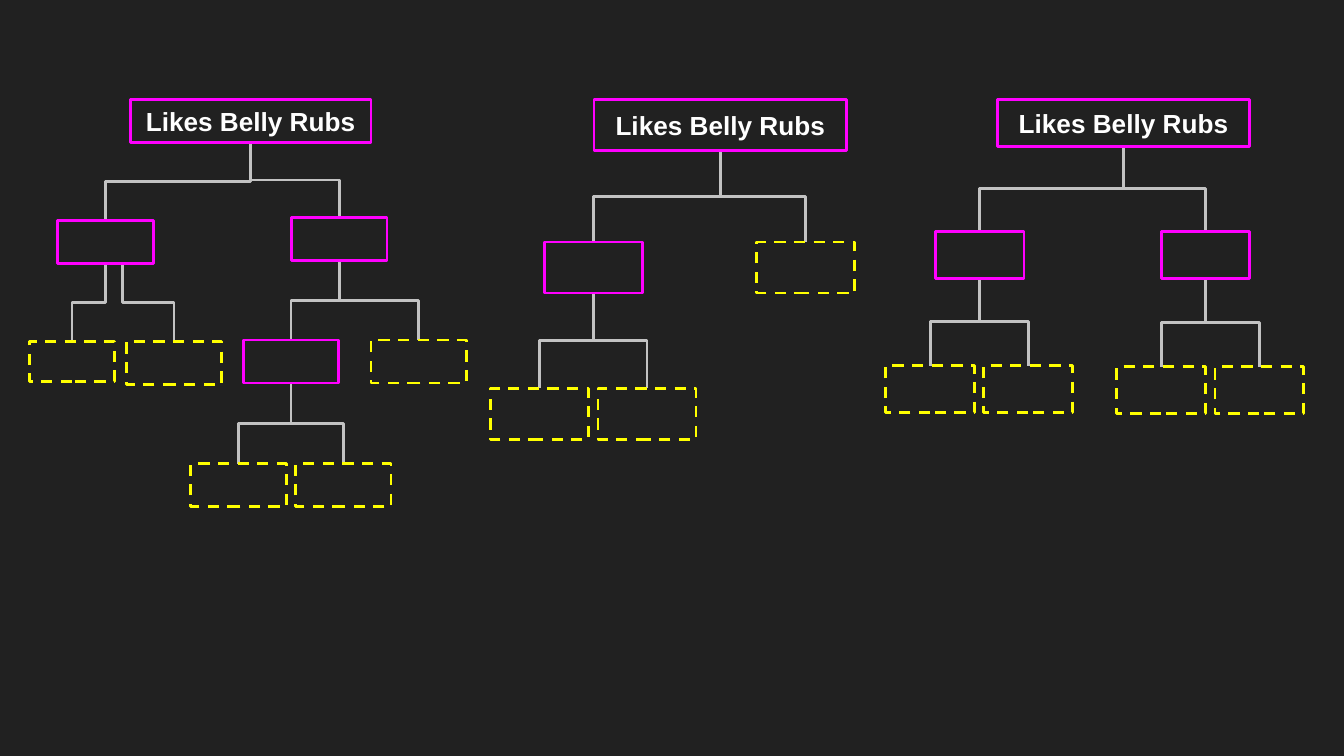
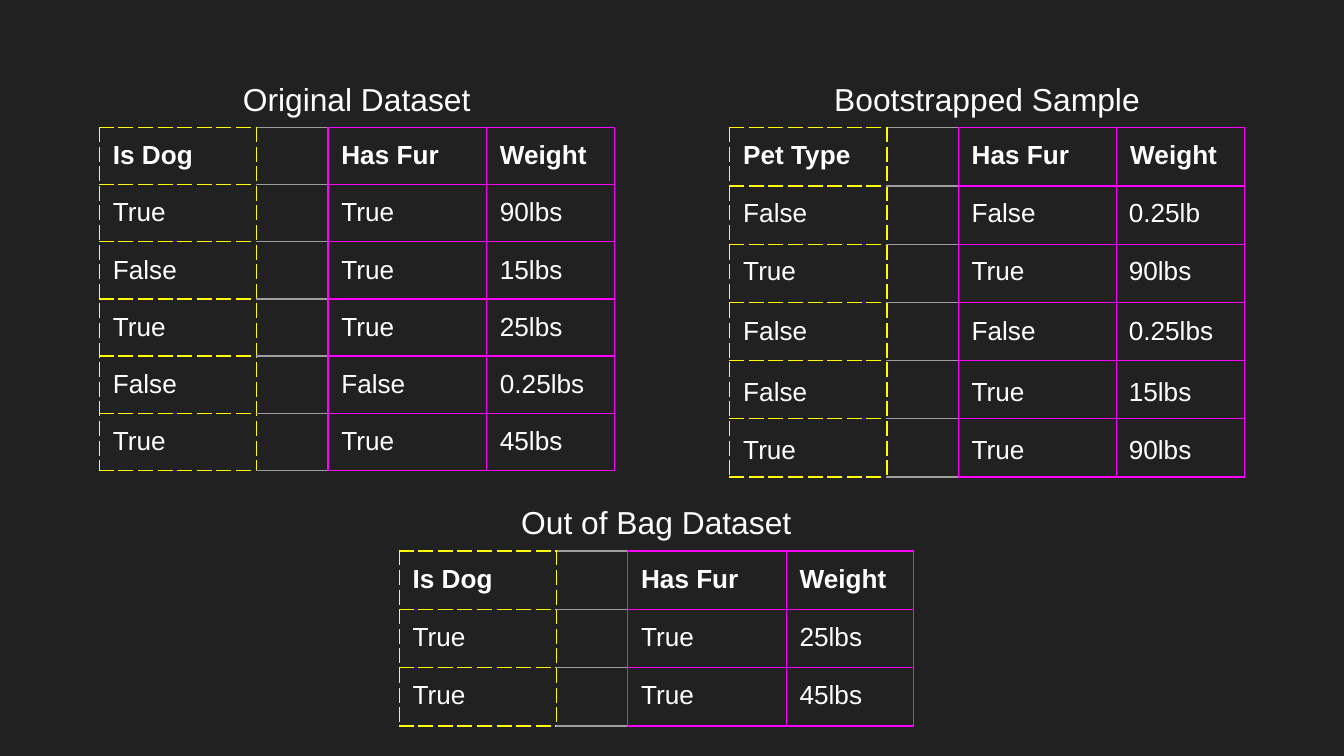
from dataclasses import dataclass

from lxml.etree import SubElement
from pptx import Presentation
from pptx.dml.color import RGBColor
from pptx.enum.dml import MSO_LINE
from pptx.enum.shapes import MSO_CONNECTOR, MSO_SHAPE
from pptx.enum.text import MSO_ANCHOR, MSO_AUTO_SIZE, PP_ALIGN
from pptx.oxml.ns import qn
from pptx.util import Inches, Pt


@dataclass(frozen=True)
class Theme:
    background: str = "212121"
    text: str = "FFFFFF"
    node: str = "FF00FF"
    leaf: str = "FFFF00"
    link: str = "C2C2C2"
    gap: str = "9E9E9E"
    font: str = "Arial"
    body: int = 14
    caption: int = 17
    line: float = 1.5
    border: float = 0.75


THEME = Theme()
NO_TABLE_STYLE = "{2D5ABB26-0587-4C30-8999-92F81FD0307C}"

# A node is (left, top, children); one without children is a dashed leaf.
# "sizes" and "starts" hold the exceptions, by the node's place.
TREES = [
    {"root": (1.79, 0.32), "box": (0.71, 0.32),
     "sizes": {(0.22, 2.54): (0.63, 0.3)},
     "starts": {(0.94, 2.54): 0.91},
     "nodes": (0.97, 0.74, [
         (0.43, 1.64, [(0.22, 2.54, []), (0.94, 2.54, [])]),
         (2.17, 1.62, [
             (1.81, 2.53, [(1.42, 3.45, []), (2.2, 3.45, [])]),
             (2.76, 2.53, [])])])},
    {"root": (1.88, 0.38), "box": (0.73, 0.38),
     "nodes": (4.42, 0.74, [
         (4.05, 1.8, [(3.65, 2.89, []), (4.45, 2.89, [])]),
         (5.63, 1.8, [])])},
    {"root": (1.88, 0.35), "box": (0.66, 0.35),
     "nodes": (7.42, 0.74, [
         (6.96, 1.72, [(6.59, 2.72, []), (7.32, 2.72, [])]),
         (8.64, 1.72, [(8.31, 2.73, []), (9.04, 2.73, [])])])},
]
ROOT_LABEL = "Likes Belly Rubs"

COLUMNS = (1.17, 0.53, 1.18, 0.95)
CAPTION_SIZE = (3.28, 0.49)
DATASETS = [
    ("Original Dataset", 0.74, 0.95, 2.55, [
        ("Is Dog", "", "Has Fur", "Weight"),
        ("True", "", "True", "90lbs"),
        ("False", "", "True", "15lbs"),
        ("True", "", "True", "25lbs"),
        ("False", "", "False", "0.25lbs"),
        ("True", "", "True", "45lbs")]),
    ("Bootstrapped Sample", 5.43, 0.95, 2.6,
        [("Pet Type", "", "Has Fur", "Weight")] + [("",) * 4] * 5),
    ("Out of Bag Dataset", 2.97, 4.1, 1.3, [
        ("Is Dog", "", "Has Fur", "Weight"),
        ("True", "", "True", "25lbs"),
        ("True", "", "True", "45lbs")]),
]
# Sampled rows are separate one-row tables laid over the empty grid.
SAMPLE_LEFT, SAMPLE_HEIGHT = 5.43, 0.43
SAMPLE_COLUMNS = (1.17, 0.53, 1.17, 0.96)
SAMPLES = [
    (1.38, ("False", "", "False", "0.25lb")),
    (1.81, ("True", "", "True", "90lbs")),
    (2.26, ("False", "", "False", "0.25lbs")),
    (2.71, ("False", "", "True", "15lbs")),
    (3.14, ("True", "", "True", "90lbs")),
]


def rgb(color):
    return RGBColor.from_string(color)


def write(tf, text, size=THEME.body, bold=False, align=None, spacing=None, after=None):
    p = tf.paragraphs[0]
    p.alignment, p.line_spacing = align, spacing
    if after:
        p.space_after = Pt(after)
    r = p.add_run()
    r.text = text
    r.font.name, r.font.size, r.font.bold = THEME.font, Pt(size), bold
    r.font.color.rgb = rgb(THEME.text)


def set_margins(target, horizontal=0.1, vertical=0.1):
    target.margin_left = target.margin_right = Inches(horizontal)
    target.margin_top = target.margin_bottom = Inches(vertical)


def set_line(shape, color):
    shape.line.color.rgb = rgb(color)
    shape.line.width = Pt(THEME.line)


def add_box(s, left, top, size, leaf, label=None):
    sp = s.shapes.add_shape(MSO_SHAPE.RECTANGLE, Inches(left), Inches(top),
                            *map(Inches, size))
    sp.shadow.inherit = False
    sp.fill.background()
    set_line(sp, THEME.leaf if leaf else THEME.node)
    if leaf:
        sp.line.dash_style = MSO_LINE.DASH
    if label:
        set_margins(sp.text_frame)
        sp.text_frame.word_wrap = True
        sp.text_frame.vertical_anchor = MSO_ANCHOR.MIDDLE
        write(sp.text_frame, label, bold=True, align=PP_ALIGN.CENTER)
    return sp


def add_link(s, parent, child, start=None):
    """Bent line, down-across-down, behind the boxes; start is a free x on the parent."""
    x1 = parent.left + parent.width // 2 if start is None else Inches(start)
    y1 = parent.top + parent.height
    x2, y2 = child.left + child.width // 2, child.top
    c = s.shapes.add_connector(MSO_CONNECTOR.ELBOW, x1, y1, x2, y2)
    if start is None:
        c.begin_connect(parent, 2)
    c.end_connect(child, 0)
    # A quarter turn makes the bent line leave downwards.
    c.width, c.height = y2 - y1, abs(x2 - x1)
    c.left = (x1 + x2 - c.width) // 2
    c.top = (y1 + y2 - c.height) // 2
    to_right = x2 > x1
    xfrm = c._element.spPr.find(qn("a:xfrm"))
    xfrm.set("rot", "16200000" if to_right else "5400000")
    xfrm.set("flipH", "1" if to_right else "0")
    xfrm.set("flipV", "0")
    set_line(c, THEME.link)
    SubElement(c._element.spPr, qn("a:effectLst"))
    s.shapes._spTree.insert(2, c._element)


def add_tree(s, tree):
    sizes, starts = tree.get("sizes", {}), tree.get("starts", {})

    def grow(node, parent=None):
        left, top, children = node
        size = sizes.get((left, top), tree["box"] if parent else tree["root"])
        box = add_box(s, left, top, size, not children, None if parent else ROOT_LABEL)
        if parent:
            add_link(s, parent, box, starts.get((left, top)))
        for child in children:
            grow(child, box)

    grow(tree["nodes"])


def set_borders(cell, column):
    leaf, node, gap = (THEME.leaf, True), (THEME.node, False), (THEME.gap, False)
    sides = [(leaf,) * 4, (leaf, node, gap, gap)][column] if column < 2 else (node,) * 4
    tc_pr = cell._tc.get_or_add_tcPr()
    for side, (color, dashed) in zip("LRTB", sides):
        ln = SubElement(tc_pr, qn(f"a:ln{side}"), w=str(Pt(THEME.border)))
        SubElement(SubElement(ln, qn("a:solidFill")), qn("a:srgbClr"), val=color)
        SubElement(ln, qn("a:prstDash"), val="dash" if dashed else "solid")


def add_grid(s, left, top, height, columns, rows, ruled=True):
    """Table with equal rows; a ruled one has borders and a bold first row."""
    frame = s.shapes.add_table(len(rows), len(columns), Inches(left), Inches(top),
                               Inches(sum(columns)), Inches(height))
    table = frame.table
    table.first_row = table.horz_banding = False
    table._tbl.tblPr.find(qn("a:tableStyleId")).text = NO_TABLE_STYLE
    for column, width in zip(table.columns, columns):
        column.width = Inches(width)
    for i, row in enumerate(rows):
        table.rows[i].height = Inches(height / len(rows))
        for j, text in enumerate(row):
            cell = table.cell(i, j)
            if ruled:
                set_borders(cell, j)
            cell.fill.background()
            set_margins(cell, vertical=0.1 if text else 0)
            if text:
                write(cell.text_frame, text, bold=ruled and i == 0)


def add_caption(s, text, table_left, table_top):
    width, height = CAPTION_SIZE
    left = table_left + (sum(COLUMNS) - width) / 2
    sp = s.shapes.add_textbox(*map(Inches, (left, table_top - 0.5, width, height)))
    tf = sp.text_frame
    tf.word_wrap = True
    tf.auto_size = MSO_AUTO_SIZE.SHAPE_TO_FIT_TEXT
    set_margins(tf)
    write(tf, text, size=THEME.caption, align=PP_ALIGN.CENTER, spacing=1.15, after=12)


def add_slide(prs):
    s = prs.slides.add_slide(prs.slide_layouts[6])
    s.background.fill.solid()
    s.background.fill.fore_color.rgb = rgb(THEME.background)
    return s


def main():
    prs = Presentation()
    prs.slide_width = Inches(10)
    prs.slide_height = prs.slide_width * 9 // 16

    s = add_slide(prs)
    for tree in TREES:
        add_tree(s, tree)

    s = add_slide(prs)
    for caption, left, top, height, rows in DATASETS:
        add_grid(s, left, top, height, COLUMNS, rows)
        add_caption(s, caption, left, top)
    for top, row in SAMPLES:
        add_grid(s, SAMPLE_LEFT, top, SAMPLE_HEIGHT, SAMPLE_COLUMNS, [row], ruled=False)

    prs.save("out.pptx")


if __name__ == "__main__":
    main()
